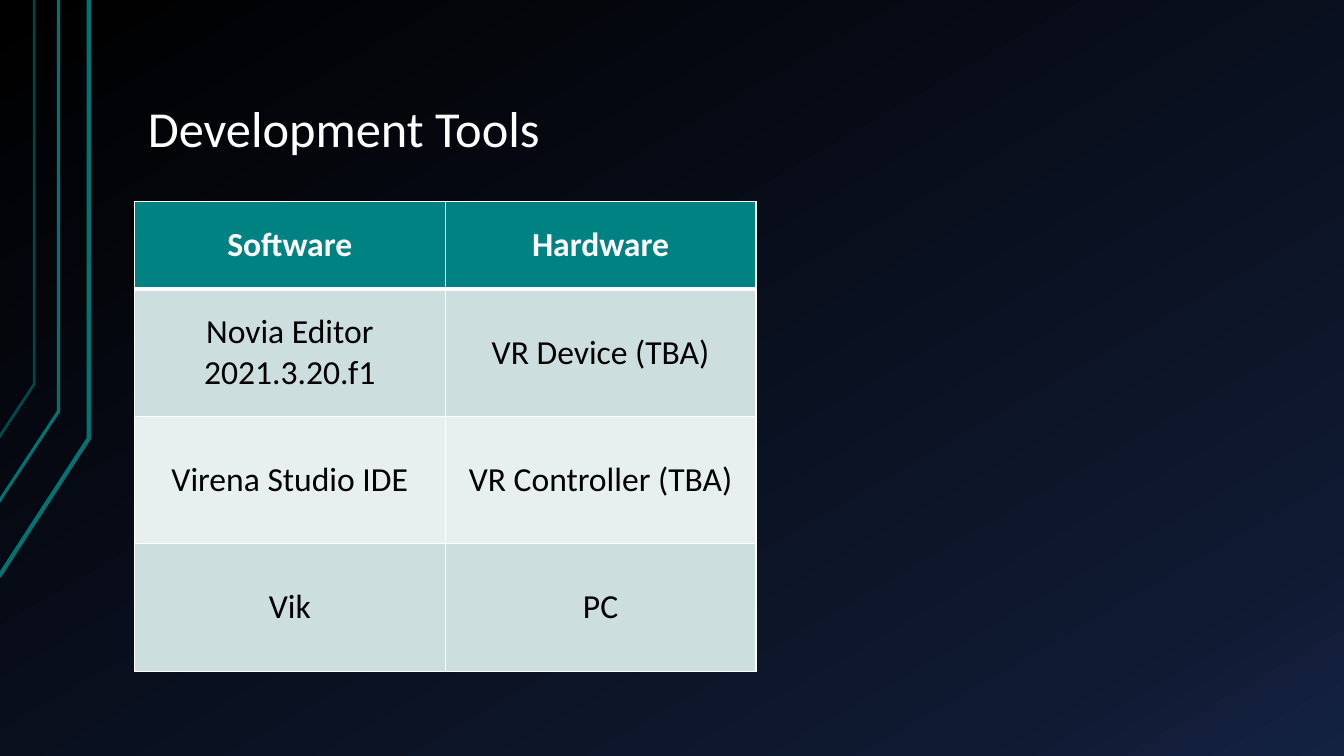
from copy import deepcopy

from lxml import etree
from pptx import Presentation
from pptx.dml.color import RGBColor
from pptx.enum import text
from pptx.oxml.ns import qn
from pptx.util import Pt

FONT = "Calibri"
WHITE, BLACK = "FFFFFF", "000000"
HEADER, BAND_DARK, BAND_LIGHT = "008282", "CCDEDE", "E7EFEF"
TRACE = "007373"

TOOLS = [
    ("Software", "Hardware"),
    ("Novia Editor 2021.3.20.f1", "VR Device (TBA)"),
    ("Virena Studio IDE", "VR Controller (TBA)"),
    ("Vik", "PC"),
]


def rgb(value):
    return RGBColor.from_string(value)


def write(tf, content, size, color, bold=False, align=text.PP_ALIGN.LEFT, spacing=1.0):
    tf.word_wrap = True
    p = tf.paragraphs[0]
    p.alignment = align
    p.line_spacing = spacing
    r = p.add_run()
    r.text = content
    r.font.name = FONT
    r.font.size = Pt(size)
    r.font.bold = bold
    r.font.color.rgb = rgb(color)


def paint_background(s, stops, angle):
    """Fill with three colour stops along a clockwise angle."""
    fill = s.background.fill
    fill.gradient()
    fill.gradient_angle = 360 - angle
    stop_list = next(s.background._cSld.iter(qn("a:gsLst")))
    stop_list.append(deepcopy(stop_list[-1]))
    for stop, (position, color) in zip(fill.gradient_stops, stops):
        stop.position = position
        stop.color.rgb = rgb(color)


def add_trace(s, points, width, alpha=100):
    """Draw an open line through points; alpha is its opacity in percent."""
    points = [(Pt(x), Pt(y)) for x, y in points]
    builder = s.shapes.build_freeform(*points[0])
    builder.add_line_segments(points[1:], close=False)
    sp = builder.convert_to_shape()
    sp.shadow.inherit = False
    sp.fill.background()
    sp.line.width = Pt(width)
    sp.line.color.rgb = rgb(TRACE)
    if alpha < 100:
        color = next(sp.line._get_or_add_ln().iter(qn("a:srgbClr")))
        etree.SubElement(color, qn("a:alpha"), val=str(alpha * 1000))


def add_title(s, content):
    tf = s.shapes.add_textbox(Pt(96), Pt(21.6), Pt(816), Pt(96.5)).text_frame
    tf.vertical_anchor = text.MSO_ANCHOR.BOTTOM
    tf.margin_left = tf.margin_right = Pt(9.6)
    tf.margin_top = tf.margin_bottom = Pt(4.8)
    write(tf, content, 36, WHITE, spacing=0.9)


def set_borders(cell, widths):
    """Set white borders; widths are left, right, top and bottom."""
    props = cell._tc.get_or_add_tcPr()
    for i, (side, width) in enumerate(zip("LRTB", widths)):
        ln = etree.Element(qn(f"a:ln{side}"), w=str(Pt(width)))
        fill = etree.SubElement(ln, qn("a:solidFill"))
        etree.SubElement(fill, qn("a:srgbClr"), val=WHITE)
        props.insert(i, ln)


def add_tools_table(s, rows):
    heights = [62.4] + [91] * (len(rows) - 1)
    frame = s.shapes.add_table(len(rows), len(rows[0]), Pt(96), Pt(144),
                               Pt(444), Pt(sum(heights)))
    table = frame.table
    for i, (row, height) in enumerate(zip(rows, heights)):
        table.rows[i].height = Pt(height)
        header = i == 0
        fill = HEADER if header else (BAND_DARK if i % 2 else BAND_LIGHT)
        for j, content in enumerate(row):
            cell = table.cell(i, j)
            cell.fill.solid()
            cell.fill.fore_color.rgb = rgb(fill)
            cell.vertical_anchor = text.MSO_ANCHOR.MIDDLE
            write(cell.text_frame, content, 24, WHITE if header else BLACK,
                  bold=header, align=text.PP_ALIGN.CENTER)
            set_borders(cell, (1, 1, 3 if i == 1 else 1, 3 if header else 1))


def main():
    prs = Presentation()
    prs.slide_width, prs.slide_height = Pt(960), Pt(540)
    s = prs.slides.add_slide(prs.slide_layouts[6])
    paint_background(s, [(0, "000000"), (0.85, "0F1931"), (1, "142242")], 60)
    add_trace(s, [(-0.7, 411.8), (63.4, 313.2), (63.4, 0)], 3)
    add_trace(s, [(-1.4, 359.3), (41.8, 293.8), (41.8, 0)], 2.25)
    add_trace(s, [(-0.7, 312.5), (24.5, 274.3), (24.5, 0)], 2, alpha=60)
    add_title(s, "Development Tools")
    add_tools_table(s, TOOLS)
    prs.save("out.pptx")


if __name__ == "__main__":
    main()
